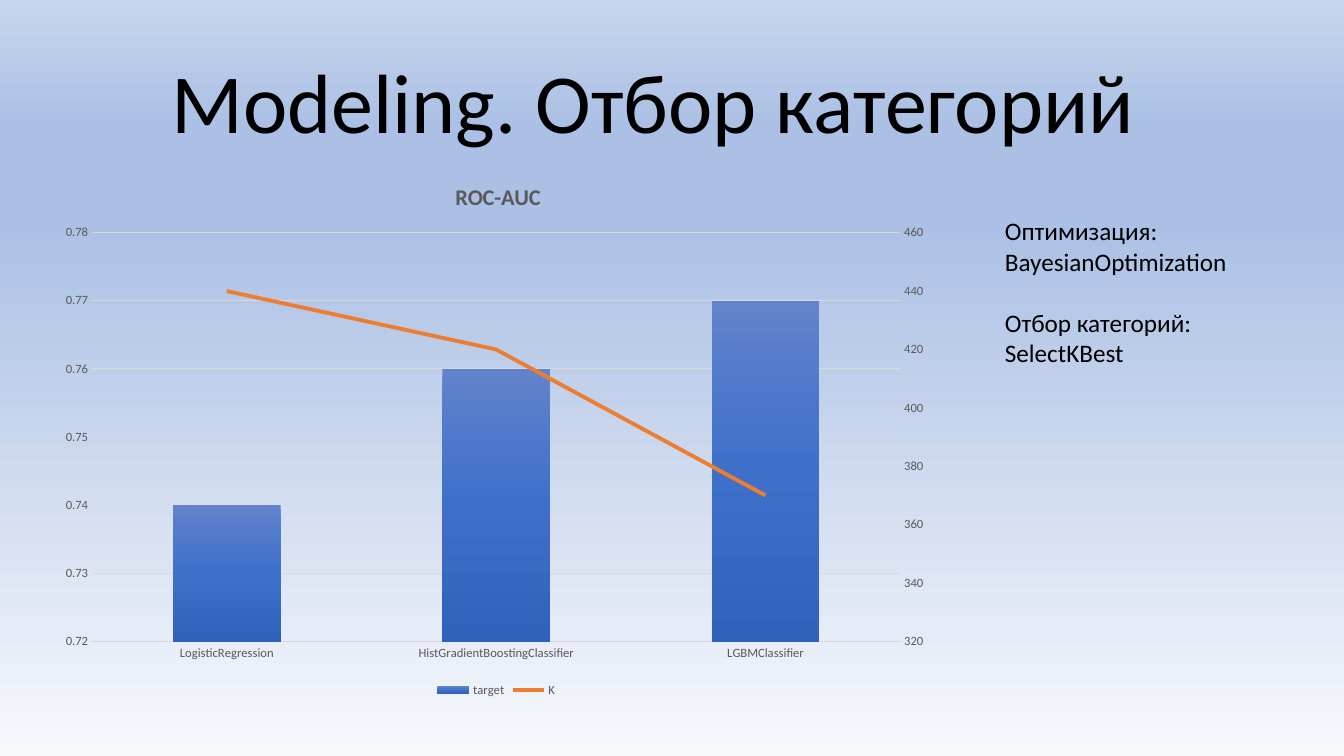
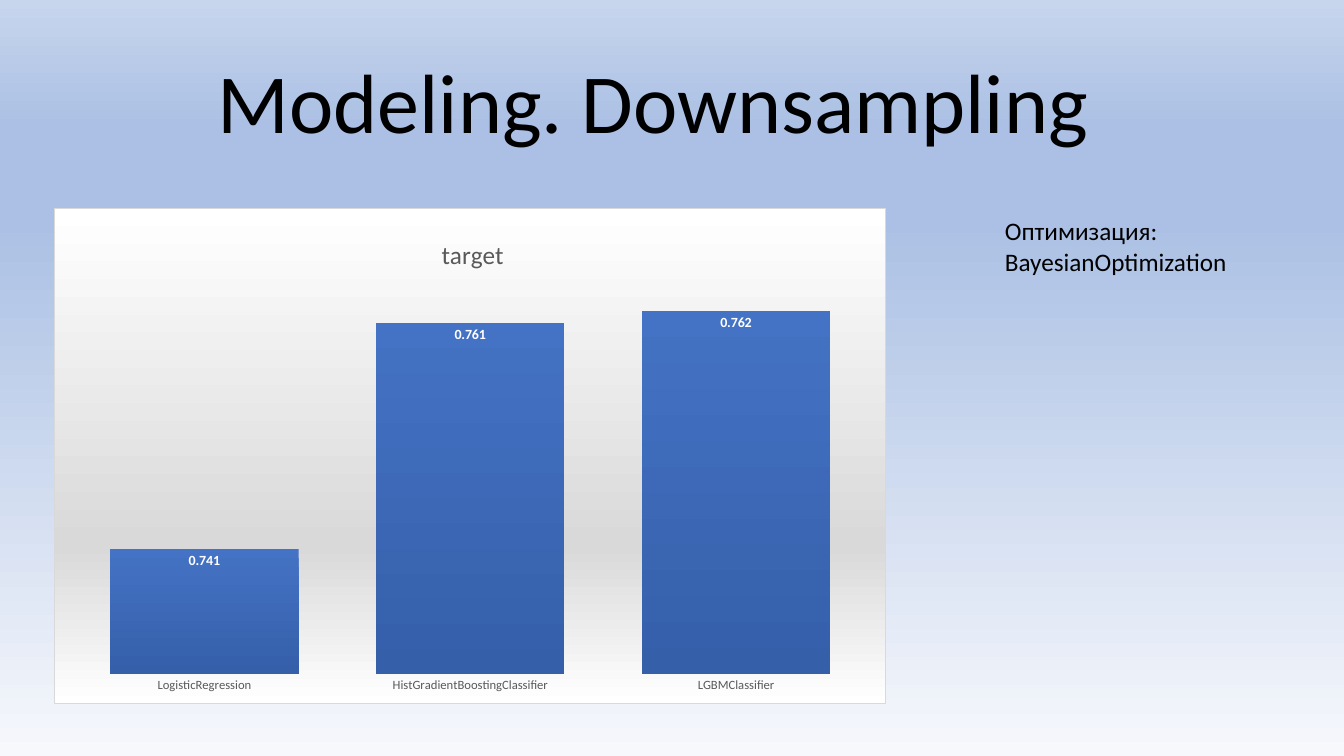
"""Build two slides on model results, each with a chart and a side note."""

from copy import deepcopy
from dataclasses import dataclass
from typing import Optional

from lxml.etree import SubElement as Sub
from pptx import Presentation
from pptx.chart.axis import ValueAxis
from pptx.chart.chart import Chart
from pptx.chart.data import CategoryChartData as Data
from pptx.dml.color import RGBColor as Rgb
from pptx.enum.chart import XL_CHART_TYPE as Kind
from pptx.enum.chart import XL_LABEL_POSITION as Spot
from pptx.enum.chart import XL_LEGEND_POSITION as Side
from pptx.enum.chart import XL_MARKER_STYLE as Mark
from pptx.enum.chart import XL_TICK_MARK as Tick
from pptx.enum.text import MSO_ANCHOR as Anchor
from pptx.enum.text import MSO_AUTO_SIZE as Fit
from pptx.enum.text import PP_ALIGN as Align
from pptx.oxml import parse_xml
from pptx.oxml.ns import nsdecls, qn
from pptx.util import Cm, Pt

Stops = tuple[tuple[int, str], ...]
Rect = tuple[float, float, float, float]


@dataclass(frozen=True)
class Theme:
    """Colours, fonts and type sizes of the deck."""

    font: str = "Calibri"
    ink: str = "000000"
    grey: str = "595959"
    rule: str = "D9D9D9"
    white: str = "FFFFFF"
    accent: str = "ED7D31"
    head: int = 60
    note: int = 18
    label: int = 10
    tick: int = 9
    sky: Stops = ((0, "F6F8FC"), (71, "ABC0E4"), (83, "ABC0E4"), (100, "C7D5ED"))
    panel: Stops = ((0, "FFFFFF"), (68, "D9D9D9"), (100, "FFFFFF"))


@dataclass(frozen=True)
class Scale:
    """Range, step and number format of a value axis."""

    low: float
    high: float
    step: float
    form: str


@dataclass(frozen=True)
class Trend:
    """A line series on the right axis."""

    name: str
    vals: tuple[float, ...]
    scale: Scale


@dataclass(frozen=True)
class Graph:
    """A column chart, framed with labels or open with a trend line."""

    title: str
    size: int
    at: Rect
    head: tuple[float, float]
    plot: Rect
    vals: tuple[float, ...]
    scale: Scale
    gap: int
    bars: Stops
    trend: Optional[Trend] = None


@dataclass(frozen=True)
class Page:
    """Title, note groups and chart of one slide."""

    title: str
    notes: tuple[tuple[str, str], ...]
    graph: Graph


LOOK = Theme()
MODELS = ("LogisticRegression", "HistGradientBoostingClassifier", "LGBMClassifier")
TUNING = ("Оптимизация:", "BayesianOptimization")

PAGES = (
    Page(
        "Modeling. Отбор категорий",
        (TUNING, ("Отбор категорий:", "SelectKBest")),
        Graph(
            "ROC-AUC", 16, (1.19, 3.94, 22.63, 13.74), (0.45, 0.04),
            (0.05, 0.14, 0.9, 0.75), (0.74, 0.76, 0.77),
            Scale(0.72, 0.78, 0.01, "0.00"), 150,
            ((0, "6183CB"), (50, "3E70CA"), (100, "3062BB")),
            Trend("K", (440, 420, 370), Scale(320, 460, 20, "0")),
        ),
    ),
    Page(
        "Modeling. Downsampling",
        (TUNING,),
        Graph(
            "target", 18, (1.37, 5.23, 20.96, 12.52), (0.46, 0.05),
            (0.02, 0.14, 0.96, 0.8), (0.741, 0.761, 0.762),
            Scale(0.73, 0.765, 0.005, "0.000"), 41,
            ((0, "4472C4"), (100, "355FA9")),
        ),
    ),
)


def style(font, size: float, tint: str, bold: bool = False) -> None:
    """Set the face, size, colour and weight of a font."""
    font.name, font.size, font.bold = LOOK.font, Pt(size), bold
    font.color.rgb = Rgb.from_string(tint)


def stroke(line, tint: str, width: float) -> None:
    """Set the colour and width of a line."""
    line.color.rgb = Rgb.from_string(tint)
    line.width = Pt(width)


def blend(stops: Stops, angle: int):
    """Return a linear gradient fill."""
    marks = "".join(
        f'<a:gs pos="{pos * 1000}"><a:srgbClr val="{tint}"/></a:gs>' for pos, tint in stops
    )
    return parse_xml(
        f'<a:gradFill {nsdecls("a")} rotWithShape="1"><a:gsLst>{marks}</a:gsLst>'
        f'<a:lin ang="{angle * 60000}" scaled="0"/></a:gradFill>'
    )


def shade(fill, node, stops: Stops, angle: int) -> None:
    """Fill an object, whose XML is the node, with a gradient."""
    fill.solid()
    flat = next(node.iter(qn("a:solidFill")))
    flat.getparent().replace(flat, blend(stops, angle))


def place(node, slot: int, at: tuple[float, ...], inner: bool = False) -> None:
    """Give a chart part a fixed place, in shares of the chart."""
    old = node.find(qn("c:layout"))
    if old is not None:
        node.remove(old)
    parts = [("layoutTarget", "inner")] if inner else []
    parts += [("xMode", "edge"), ("yMode", "edge"), *zip("xywh", at)]
    body = "".join(f'<c:{tag} val="{val}"/>' for tag, val in parts)
    body = f"<c:manualLayout>{body}</c:manualLayout>"
    node.insert(slot, parse_xml(f'<c:layout {nsdecls("c")}>{body}</c:layout>'))


def frame(chart: Chart, framed: bool) -> None:
    """Give the chart a shaded panel, or leave it clear."""
    root = chart.element
    area = parse_xml(f'<c:spPr {nsdecls("c", "a")}/>')
    root.find(qn("c:chart")).addnext(area)
    if framed:
        area.append(blend(LOOK.panel, 90))
        edge = Sub(area, qn("a:ln"), w=str(Pt(0.75)))
        Sub(Sub(edge, qn("a:solidFill")), qn("a:srgbClr"), val=LOOK.rule)
    else:
        Sub(area, qn("a:noFill"))
        Sub(Sub(area, qn("a:ln")), qn("a:noFill"))


def plain(axis) -> None:
    """Remove ticks and axis line and set the label font."""
    axis.major_tick_mark = axis.minor_tick_mark = Tick.NONE
    axis.format.line.fill.background()
    style(axis.tick_labels.font, LOOK.tick, LOOK.grey)


def gauge(axis: ValueAxis, scale: Scale) -> None:
    """Set the range, step and number format of an axis."""
    axis.minimum_scale, axis.maximum_scale = scale.low, scale.high
    axis.major_unit = scale.step
    axis.tick_labels.number_format = scale.form
    axis.tick_labels.number_format_is_linked = False


def split(chart: Chart, trend: Trend) -> None:
    """Move the second series to a line on a right axis."""
    area = chart.element.find(".//" + qn("c:plotArea"))
    bars = area.find(qn("c:barChart"))
    row = bars.findall(qn("c:ser"))[1]
    flip = row.find(qn("c:invertIfNegative"))
    if flip is not None:
        row.remove(flip)
    lines = parse_xml(
        f'<c:lineChart {nsdecls("c")}><c:grouping val="standard"/>'
        '<c:varyColors val="0"/><c:marker val="1"/>'
        '<c:axId val="50"/><c:axId val="51"/></c:lineChart>'
    )
    lines.insert(2, row)
    bars.addnext(lines)

    left = area.find(qn("c:valAx"))
    right, base = deepcopy(left), deepcopy(area.find(qn("c:catAx")))
    left.addnext(right)
    right.addnext(base)
    for node, own, other in ((base, "50", "51"), (right, "51", "50")):
        node.find(qn("c:axId")).set("val", own)
        node.find(qn("c:crossAx")).set("val", other)
    base.find(qn("c:delete")).set("val", "1")
    right.find(qn("c:axPos")).set("val", "r")
    right.find(qn("c:crosses")).set("val", "max")
    axis = ValueAxis(right)
    axis.has_major_gridlines = False
    gauge(axis, trend.scale)

    curve = chart.plots[1].series[0]
    curve.smooth = False
    curve.marker.style = Mark.NONE
    stroke(curve.format.line, LOOK.accent, 2.75)


def draw(slide, graph: Graph) -> None:
    """Add the chart to a slide."""
    trend = graph.trend
    data = Data()
    data.categories = MODELS
    data.add_series("target", graph.vals)
    if trend:
        data.add_series(trend.name, trend.vals)
    chart = slide.shapes.add_chart(Kind.COLUMN_CLUSTERED, *map(Cm, graph.at), data).chart
    style(chart.font, LOOK.label, LOOK.ink)
    frame(chart, framed=trend is None)

    chart.has_title = True
    title = chart.chart_title
    title.text_frame.text = graph.title
    style(title.text_frame.paragraphs[0].runs[0].font, graph.size, LOOK.grey, bool(trend))
    place(title._element, 1, graph.head)
    place(chart.element.find(".//" + qn("c:plotArea")), 0, graph.plot, inner=True)

    plot = chart.plots[0]
    plot.gap_width, plot.vary_by_categories = graph.gap, False
    bars = plot.series[0]
    shade(bars.format.fill, bars._element, graph.bars, 90)
    for axis in (chart.category_axis, chart.value_axis):
        plain(axis)
    gauge(chart.value_axis, graph.scale)

    chart.has_legend = trend is not None
    if trend:
        stroke(chart.category_axis.format.line, LOOK.rule, 1)
        stroke(chart.value_axis.major_gridlines.format.line, LOOK.rule, 0.75)
        chart.legend.position = Side.BOTTOM
        chart.legend.include_in_layout = False
        style(chart.legend.font, LOOK.tick, LOOK.grey)
        split(chart, trend)
    else:
        chart.value_axis.has_major_gridlines = False
        chart.value_axis.visible = False
        tags = bars.data_labels
        tags.show_value, tags.position = True, Spot.INSIDE_END
        tags.number_format, tags.number_format_is_linked = graph.scale.form, False
        style(tags.font, LOOK.label, LOOK.white, True)


def move(shape, at: Rect) -> None:
    """Set the place and size of a shape in centimetres."""
    shape.left, shape.top, shape.width, shape.height = map(Cm, at)


def write(slide, page: Page) -> None:
    """Fill the title and note placeholders."""
    title, note = slide.shapes.title, slide.placeholders[1]
    move(title, (3.76, 1.37, 25.4, 2.57))
    text = title.text_frame
    text.text = page.title
    text.vertical_anchor, text.auto_size = Anchor.BOTTOM, Fit.NONE
    line = text.paragraphs[0]
    line.alignment, line.line_spacing = Align.CENTER, 0.9
    style(line.runs[0].font, LOOK.head, LOOK.ink)

    move(note, (25.07, 5.31, 6.17, 1.8 if len(page.notes) == 1 else 4.11))
    text = note.text_frame
    text.text = "\n".join(line for group in page.notes for line in group)
    text.vertical_anchor, text.word_wrap = Anchor.TOP, False
    text.auto_size = Fit.SHAPE_TO_FIT_TEXT
    for num, line in enumerate(text.paragraphs):
        line.alignment = Align.LEFT
        line.space_before = Pt(22 if num and num % 2 == 0 else 0)
        style(line.runs[0].font, LOOK.note, LOOK.ink)


def main() -> None:
    """Build and save the deck."""
    deck = Presentation()
    deck.slide_width, deck.slide_height = Cm(33.87), Cm(19.05)
    master = deck.slide_master
    shade(master.background.fill, master.element.find(".//" + qn("p:bg")), LOOK.sky, 270)
    for page in PAGES:
        slide = deck.slides.add_slide(deck.slide_layouts[0])
        write(slide, page)
        draw(slide, page.graph)
    deck.save("out.pptx")


if __name__ == "__main__":
    main()
